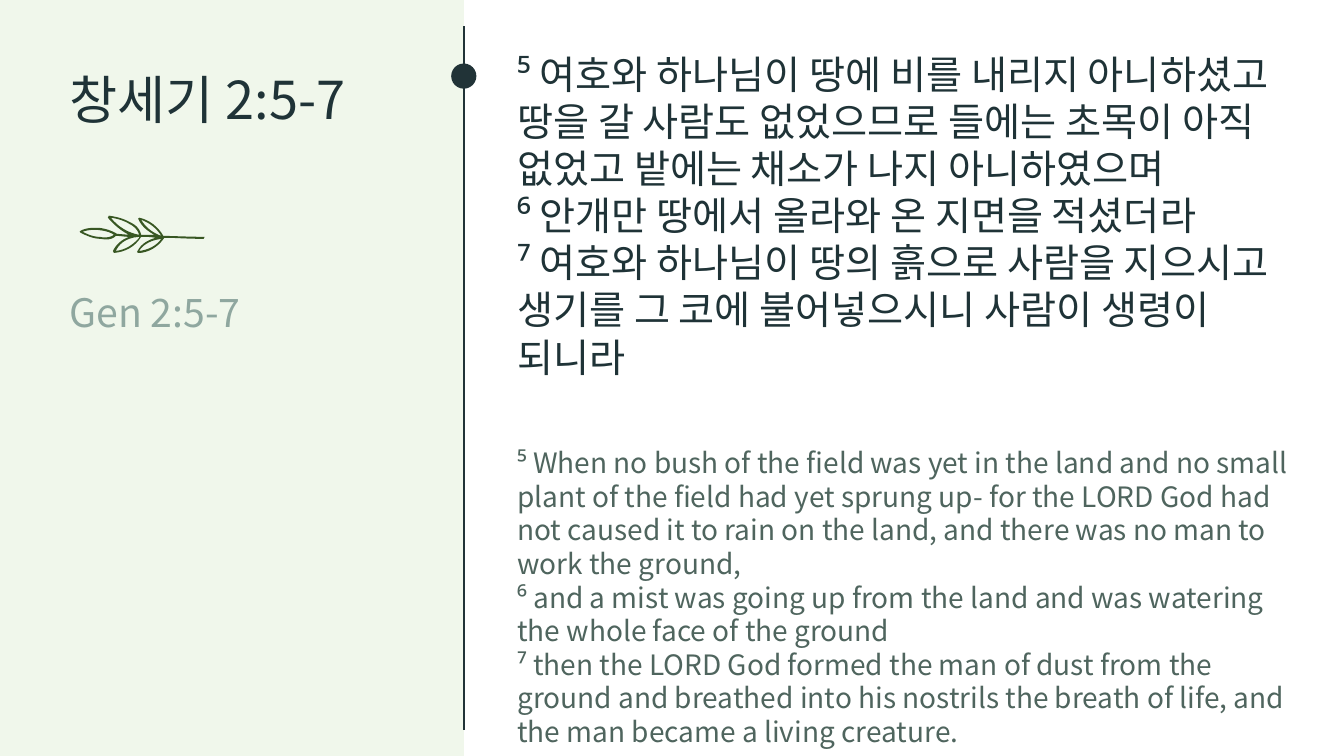
from pptx import Presentation
from pptx.dml.color import RGBColor
from pptx.enum.shapes import MSO_CONNECTOR as CONN, MSO_SHAPE as SHAPE
from pptx.enum.text import MSO_ANCHOR as ANCHOR, MSO_AUTO_SIZE as AUTO, PP_ALIGN as ALIGN
from pptx.oxml.ns import qn
from pptx.util import Inches, Pt
from lxml import etree

# Content
TITLE = "창세기 2:5-7"
REFERENCE = "Gen 2:5-7"
KOREAN = [
    "⁵ 여호와 하나님이 땅에 비를 내리지 아니하셨고 땅을 갈 사람도 없었으므로 "
    "들에는 초목이 아직 없었고 밭에는 채소가 나지 아니하였으며",
    "⁶ 안개만 땅에서 올라와 온 지면을 적셨더라",
    "⁷ 여호와 하나님이 땅의 흙으로 사람을 지으시고 생기를 그 코에 불어넣으시니 "
    "사람이 생령이 되니라",
]
ENGLISH = [
    "⁵ When no bush of the field was yet in the land and no small plant of the field "
    "had yet sprung up- for the LORD God had not caused it to rain on the land, "
    "and there was no man to work the ground,",
    "⁶ and a mist was going up from the land and was watering the whole face of the ground",
    "⁷ then the LORD God formed the man of dust from the ground and breathed into his "
    "nostrils the breath of life, and the man became a living creature.",
]

# Twig contours in inches: a start point, then lines (x, y) and Bézier curves (6 numbers)
TWIG = [
    [(0.8, 2.31), (0.86, 2.34, 0.93, 2.37, 1, 2.37), (1.06, 2.38, 1.11, 2.38, 1.15, 2.34),
     (1.19, 2.34, 1.24, 2.35, 1.28, 2.35), (1.2, 2.38, 1.15, 2.43, 1.12, 2.49), (1.13, 2.51),
     (1.24, 2.5, 1.34, 2.45, 1.4, 2.35), (1.45, 2.35, 1.5, 2.35, 1.54, 2.36),
     (1.48, 2.38, 1.4, 2.41, 1.36, 2.5), (1.37, 2.51), (1.47, 2.51, 1.57, 2.45, 1.63, 2.36),
     (1.69, 2.36), (1.71, 2.36, 1.89, 2.37, 2.02, 2.37), (2.03, 2.35),
     (1.88, 2.35, 1.67, 2.34, 1.62, 2.34), (1.57, 2.25, 1.48, 2.18, 1.38, 2.16), (1.37, 2.17),
     (1.41, 2.26, 1.48, 2.3, 1.53, 2.33), (1.4, 2.33), (1.39, 2.28, 1.36, 2.24, 1.3, 2.21),
     (1.23, 2.17, 1.16, 2.15, 1.08, 2.14), (1.07, 2.16), (1.13, 2.23, 1.2, 2.29, 1.28, 2.33),
     (1.16, 2.32), (1.11, 2.29, 1.06, 2.27, 0.98, 2.26), (0.91, 2.26, 0.85, 2.26, 0.8, 2.29),
     (0.79, 2.3)],
    [(1.6, 2.37), (1.55, 2.44, 1.47, 2.48, 1.38, 2.49), (1.43, 2.41, 1.52, 2.38, 1.6, 2.37)],
    [(1.4, 2.18), (1.48, 2.21, 1.55, 2.26, 1.6, 2.34), (1.51, 2.31, 1.44, 2.25, 1.4, 2.18)],
    [(1.38, 2.36), (1.32, 2.43, 1.24, 2.48, 1.15, 2.49), (1.17, 2.44, 1.23, 2.36, 1.38, 2.35)],
    [(1.1, 2.16), (1.17, 2.17, 1.23, 2.19, 1.28, 2.22), (1.34, 2.25, 1.37, 2.29, 1.38, 2.33),
     (1.27, 2.31, 1.17, 2.25, 1.1, 2.16)],
    [(0.82, 2.3), (0.87, 2.28, 0.92, 2.28, 0.96, 2.28), (1.04, 2.29, 1.09, 2.3, 1.13, 2.33),
     (1.09, 2.36, 1.03, 2.36, 0.99, 2.35), (0.93, 2.35, 0.88, 2.33, 0.82, 2.3)],
]

# Style
FONT = "Noto Sans CJK KR"
PANEL = RGBColor(0xE2, 0xF0, 0xD9)
RULE = RGBColor(0x21, 0x33, 0x37)
INK = RGBColor(0x1F, 0x33, 0x37)
SAGE = RGBColor(0x8F, 0xA7, 0x9F)
MOSS = RGBColor(0x4F, 0x65, 0x5E)
LEAF = RGBColor(0x38, 0x57, 0x23)

# Layout
PANEL_LEFT, PANEL_W, SLIDE_H = -0.01, 4.61, 7.5
RULE_X, RULE_TOP, RULE_BOTTOM = 4.6, 0.26, 7.24
DOT, DOT_TOP = 0.25, 0.63
LABEL_X, LABEL_W = 0.59, 4.23
VERSE_X, VERSE_W = 5.03, 7.93


def place(sp, left, top, width, height):
    sp.left, sp.top, sp.width, sp.height = map(Inches, (left, top, width, height))


def write(sp, paragraphs, size, color):
    """Fill a shape with plain left-aligned paragraphs."""
    tf = sp.text_frame
    tf.word_wrap, tf.auto_size, tf.vertical_anchor = True, AUTO.NONE, ANCHOR.TOP
    for i, text in enumerate(paragraphs):
        p = tf.add_paragraph() if i else tf.paragraphs[0]
        pPr = p._p.get_or_add_pPr()
        pPr.set("marL", "0")
        pPr.set("indent", "0")
        etree.SubElement(pPr, qn("a:buNone"))
        p.alignment, p.line_spacing, p.space_before = ALIGN.LEFT, 1.0, Pt(0)
        r = p.add_run()
        r.text = text
        r.font.size, r.font.name, r.font.color.rgb = Pt(size), FONT, color


def paint(sp, color, alpha=None):
    sp.shadow.inherit = False
    sp.fill.solid()
    sp.fill.fore_color.rgb = color
    sp.line.fill.background()
    if alpha:
        clr = sp.fill._xPr.find(".//" + qn("a:srgbClr"))
        etree.SubElement(clr, qn("a:alpha")).set("val", str(alpha * 1000))


def trace(contour, steps=8):
    """Turn lines and curves into a list of points in EMU."""
    points = [contour[0]]
    for seg in contour[1:]:
        if len(seg) == 2:
            points.append(seg)
            continue
        ctrl = [points[-1], seg[:2], seg[2:4], seg[4:]]
        for n in range(1, steps + 1):
            t = n / steps
            weights = ((1 - t) ** 3, 3 * t * (1 - t) ** 2, 3 * t * t * (1 - t), t ** 3)
            points.append(tuple(sum(w * c[k] for w, c in zip(weights, ctrl)) for k in (0, 1)))
    return [(Inches(x), Inches(y)) for x, y in points]


def main():
    prs = Presentation()
    prs.slide_width, prs.slide_height = Inches(13.33), Inches(SLIDE_H)
    s = prs.slides.add_slide(prs.slide_layouts[3])
    title, korean, english = s.placeholders

    # Left panel, behind the title
    panel = s.shapes.add_shape(SHAPE.RECTANGLE, Inches(PANEL_LEFT), 0,
                               Inches(PANEL_W), Inches(SLIDE_H))
    paint(panel, PANEL, alpha=50)
    s.shapes._spTree.insert(2, panel._element)

    # Vertical rule with its dot
    rule = s.shapes.add_connector(CONN.STRAIGHT, Inches(RULE_X), Inches(RULE_TOP),
                                  Inches(RULE_X), Inches(RULE_BOTTOM))
    rule.line.color.rgb, rule.line.width = RULE, Pt(1.5)
    etree.SubElement(rule._element.spPr, qn("a:effectLst"))
    dot = s.shapes.add_shape(SHAPE.OVAL, Inches(RULE_X - DOT / 2), Inches(DOT_TOP),
                             Inches(DOT), Inches(DOT))
    paint(dot, RULE)

    # Twig
    outlines = [trace(contour) for contour in TWIG]
    fb = s.shapes.build_freeform(*outlines[0][0])
    for i, points in enumerate(outlines):
        if i:
            fb.move_to(*points[0])
        fb.add_line_segments(points[1:], close=True)
    paint(fb.convert_to_shape(), LEAF)

    # Title and reference
    place(title, LABEL_X, 0.62, LABEL_W, 0.73)
    write(title, [TITLE], 37.3, INK)
    reference = s.shapes.add_textbox(0, 0, 0, 0)
    place(reference, LABEL_X, 2.81, LABEL_W, 0.57)
    write(reference, [REFERENCE], 28, SAGE)

    # Verses
    place(korean, VERSE_X, 0.45, VERSE_W, 3.4)
    write(korean, KOREAN, 28, INK)
    place(english, VERSE_X, 4.37, VERSE_W, 3.1)
    write(english, ENGLISH, 20, MOSS)

    prs.save("out.pptx")


if __name__ == "__main__":
    main()
